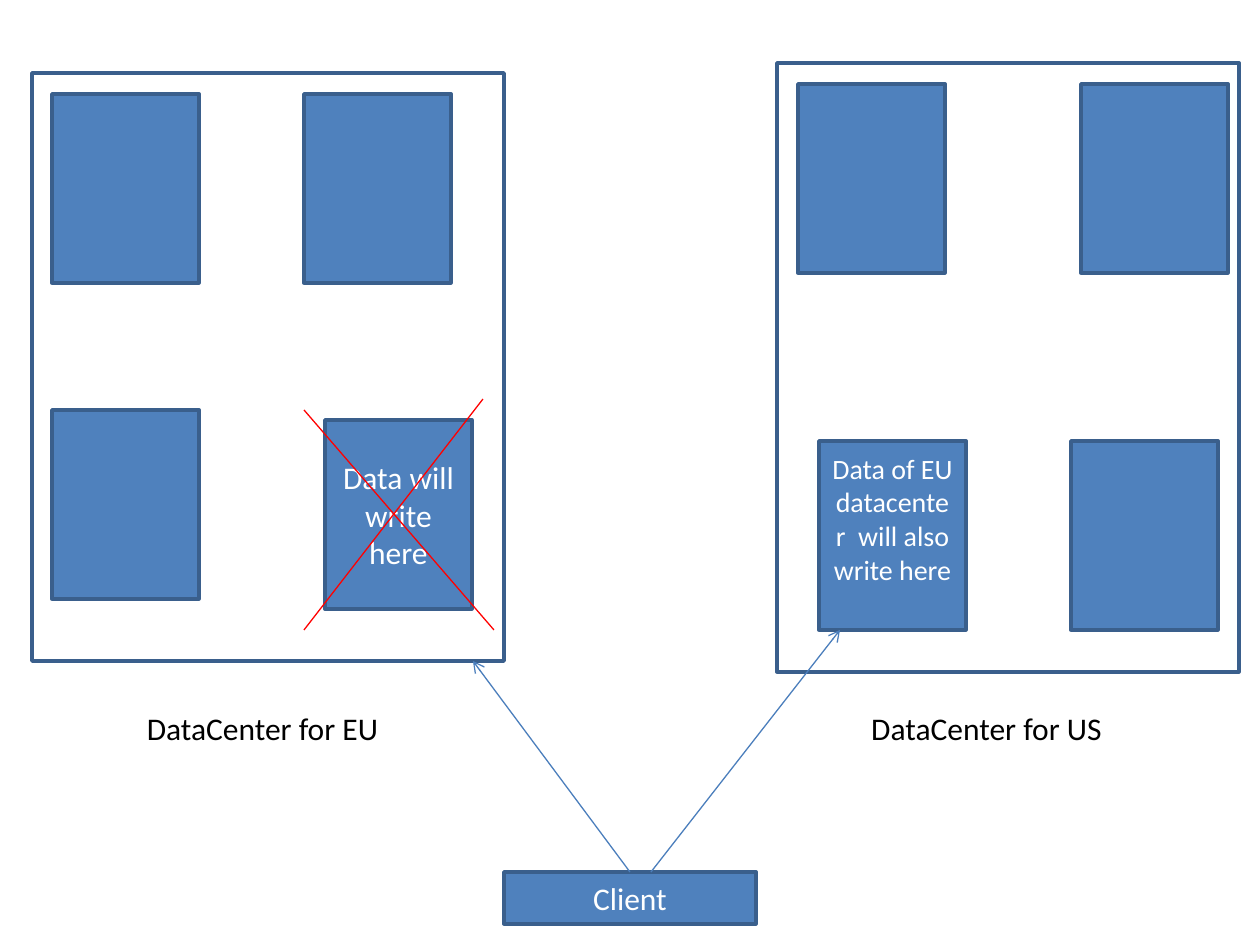
from lxml.etree import SubElement
from pptx import Presentation
from pptx.dml.color import RGBColor
from pptx.enum.shapes import MSO_CONNECTOR as Connector, MSO_SHAPE as Shape
from pptx.enum.text import MSO_ANCHOR as Anchor, PP_ALIGN as Align
from pptx.oxml.ns import qn
from pptx.util import Emu, Pt

SCALE = 914400 // 126  # EMU per pixel
SLIDE_SIZE = (1260, 945)
SERVER_SIZE = (147, 189)

THEME = {
    "font": "Calibri", "body": 18, "small": 16,
    "fill": "4F81BD", "border": "3A5F8C", "paper": "FFFFFF",
    "ink": "000000", "arrow": "4B7EBC", "cross": "FF0000",
    "border_width": 2, "line_width": 0.75,
}

# Content: frame and caption boxes are left, top, width, height
DATACENTERS = [
    {"caption": "DataCenter for EU", "caption_box": (84, 703, 357, 50),
     "frame": (32, 73, 472, 588),
     "servers": [(52, 94, ""), (304, 94, ""), (52, 410, ""),
                 (325, 420, "Data will write here")]},
    {"caption": "DataCenter for US", "caption_box": (808, 703, 357, 50),
     "frame": (777, 63, 462, 609),
     "servers": [(798, 84, ""), (1081, 84, ""), (1071, 441, ""),
                 (819, 441, "Data of EU datacenter  will also write here")]},
]
SMALL_TEXT_SERVER = (819, 441)
SMALL_TEXT_BOTTOM_INSET = 40
CLIENT = ("Client", (504, 872, 252, 52))
ARROWS = [((630, 872), (473, 661)), ((651, 872), (840, 630))]
CROSS = [((304, 410), (494, 630)), ((483, 399), (304, 630))]


def pixels(*values):
    return [Emu(value * SCALE) for value in values]


def color(name):
    return RGBColor.from_string(THEME[name])


def write(shape, text, ink, size="body", anchor=Anchor.MIDDLE):
    frame = shape.text_frame
    for name, value in {"word_wrap": True, "vertical_anchor": anchor}.items():
        setattr(frame, name, value)
    paragraph = frame.paragraphs[0]
    paragraph.alignment = Align.CENTER
    run = paragraph.add_run()
    run.text = text
    for name, value in {"name": THEME["font"], "size": Pt(THEME[size])}.items():
        setattr(run.font, name, value)
    run.font.color.rgb = color(ink)


def add_box(box, fill="fill", text="", size="body"):
    shape = slide.shapes.add_shape(Shape.RECTANGLE, *pixels(*box))
    shape.shadow.inherit = False
    shape.fill.solid()
    shape.fill.fore_color.rgb = color(fill)
    shape.line.color.rgb = color("border")
    shape.line.width = Pt(THEME["border_width"])
    if text:
        write(shape, text, "paper", size)
    return shape


def add_line(start, end, ink, arrowhead=False):
    line = slide.shapes.add_connector(Connector.STRAIGHT, *pixels(*start, *end))
    line.line.color.rgb = color(ink)
    line.line.width = Pt(THEME["line_width"])
    properties = line._element.spPr
    if arrowhead:
        SubElement(properties.find(qn("a:ln")), qn("a:tailEnd"), type="arrow")
    SubElement(properties, qn("a:effectLst"))


presentation = Presentation()
presentation.slide_width, presentation.slide_height = pixels(*SLIDE_SIZE)
slide = presentation.slides.add_slide(presentation.slide_layouts[6])

# Datacenters with their servers and captions
for datacenter in DATACENTERS:
    add_box(datacenter["frame"], "paper")
    for left, top, text in datacenter["servers"]:
        small = (left, top) == SMALL_TEXT_SERVER
        server = add_box((left, top, *SERVER_SIZE), text=text,
                         size="small" if small else "body")
        if small:
            server.text_frame.margin_bottom = pixels(SMALL_TEXT_BOTTOM_INSET)[0]
    caption = slide.shapes.add_textbox(*pixels(*datacenter["caption_box"]))
    write(caption, datacenter["caption"], "ink", anchor=Anchor.TOP)

# Client and its write requests
client_text, client_box = CLIENT
add_box(client_box, text=client_text)
for start, end in ARROWS:
    add_line(start, end, "arrow", arrowhead=True)

# Cross over the failed server
for start, end in CROSS:
    add_line(start, end, "cross")

presentation.save("out.pptx")
